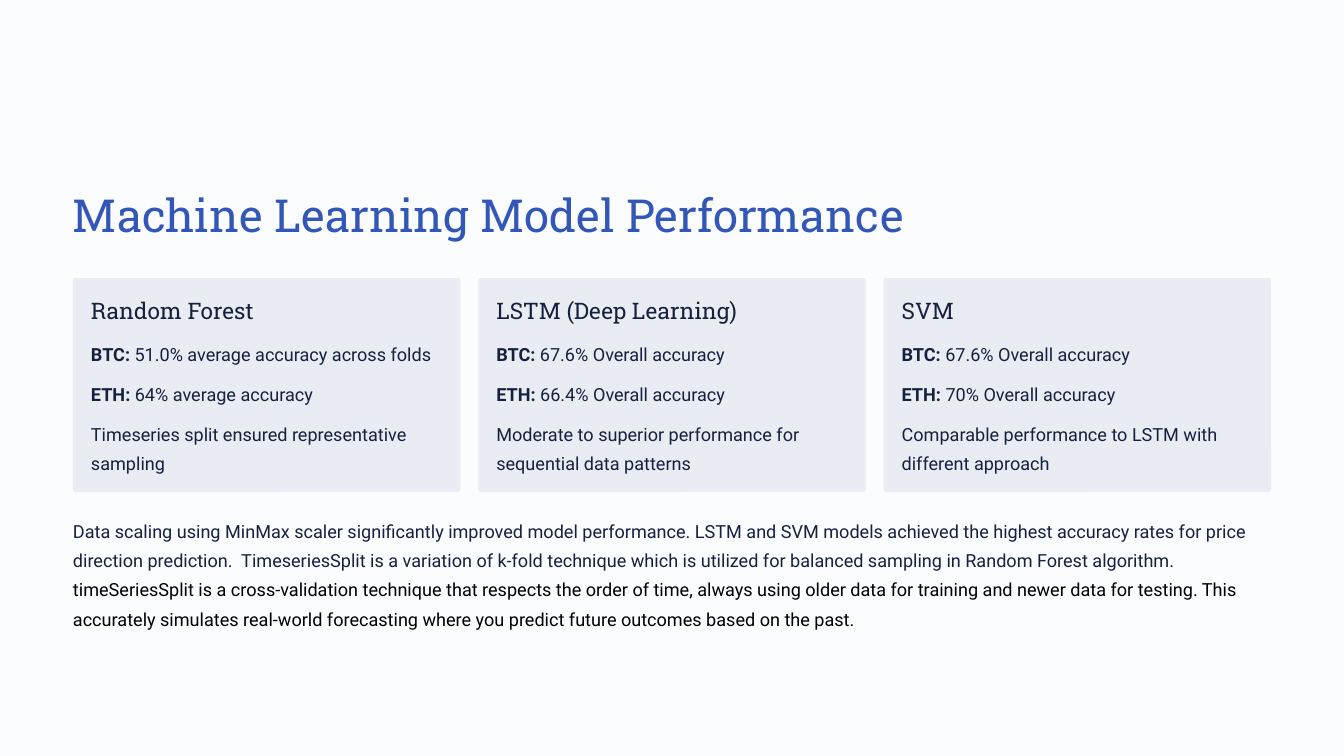
from dataclasses import dataclass

from pptx import Presentation
from pptx import util as u
from pptx.dml.color import RGBColor
from pptx.enum import shapes, text

PX = u.Inches(1) // 84


@dataclass(frozen=True)
class Theme:
    back: str = "FBFCFE"
    card: str = "E9ECF2"
    blue: str = "3257B8"
    ink: str = "15213F"
    black: str = "000000"
    slab: str = "Roboto Slab"
    sans: str = "Roboto"
    title: float = 39
    head: float = 19.5
    body: float = 15.5


T = Theme()

CARDS = [
    ("Random Forest", "51.0% average accuracy across folds", "64% average accuracy",
     "Timeseries split ensured representative sampling"),
    ("LSTM (Deep Learning)", "67.6% Overall accuracy", "66.4% Overall accuracy",
     "Moderate to superior performance for sequential data patterns"),
    ("SVM", "67.6% Overall accuracy", "70% Overall accuracy",
     "Comparable performance to LSTM with different approach"),
]
SCALING = (
    "Data scaling using MinMax scaler significantly improved model performance. "
    "LSTM and SVM models achieved the highest accuracy rates for price direction "
    "prediction.  TimeseriesSplit is a variation of k-fold technique which is "
    "utilized for balanced sampling in Random Forest algorithm. "
)
SPLIT = (
    "timeSeriesSplit is a cross-validation technique that respects the order of "
    "time, always using older data for training and newer data for testing. This "
    "accurately simulates real-world forecasting where you predict future outcomes "
    "based on the past."
)


def emu(box):
    return [round(n * PX) for n in box]


def rgb(code):
    return RGBColor.from_string(code)


def write(shape, runs, face, size, color, lead):
    frame = shape.text_frame
    frame.word_wrap = True
    frame.auto_size = text.MSO_AUTO_SIZE.NONE
    frame.vertical_anchor = text.MSO_ANCHOR.TOP
    frame.margin_left = frame.margin_right = 0
    frame.margin_top = frame.margin_bottom = 0
    para = frame.paragraphs[0]
    para.alignment = text.PP_ALIGN.LEFT
    para.line_spacing = u.Pt(lead)
    para.font.name = face
    para.font.size = u.Pt(size)
    para.font.color.rgb = rgb(color)
    for words in runs:
        para.add_run().text = words
    return para


def label(slide, box, runs, face=T.sans, size=T.body, lead=25):
    shape = slide.shapes.add_textbox(*emu(box))
    return write(shape, runs, face, size, T.ink, lead)


def heading(slide, box):
    title = slide.shapes.title
    title.left, title.top, title.width, title.height = emu(box)
    write(title, ["Machine Learning Model Performance"], T.slab, T.title, T.blue, 48.5)


def card(slide, box, name, btc, eth, note):
    left, top, width, height = box
    panel = slide.shapes.add_shape(shapes.MSO_SHAPE.ROUNDED_RECTANGLE, *emu(box))
    panel.adjustments[0] = 0.013
    panel.shadow.inherit = False
    panel.fill.solid()
    panel.fill.fore_color.rgb = rgb(T.card)
    panel.line.fill.background()

    pad = 18
    left, width = left + pad, width - 2 * pad
    label(slide, (left, top + 18, width, 29), [name], T.slab, T.head, 24)
    for row, (coin, score) in enumerate([("BTC:", btc), ("ETH:", eth)]):
        para = label(slide, (left, top + 58 + 40 * row, width, 29), [coin, " " + score])
        para.runs[0].font.bold = True
    label(slide, (left, top + 138, width, 58), [note])


def grid(slide, box):
    left, top, width, height = box
    gap = 18
    wide = (width - gap * (len(CARDS) - 1)) / len(CARDS)
    for col, entry in enumerate(CARDS):
        card(slide, (left + col * (wide + gap), top, wide, height), *entry)


def summary(slide, box):
    para = label(slide, box, [SCALING, SPLIT])
    para.runs[1].font.color.rgb = rgb(T.black)


def main():
    deck = Presentation()
    deck.slide_width, deck.slide_height = emu((1344, 756))
    slide = deck.slides.add_slide(deck.slide_layouts[5])
    slide.background.fill.solid()
    slide.background.fill.fore_color.rgb = rgb(T.back)
    left, width = 73, 1198
    heading(slide, (left, 185, width, 57))
    grid(slide, (left, 278, width, 214))
    summary(slide, (left, 513, width, 129))
    deck.save("out.pptx")


if __name__ == "__main__":
    main()
